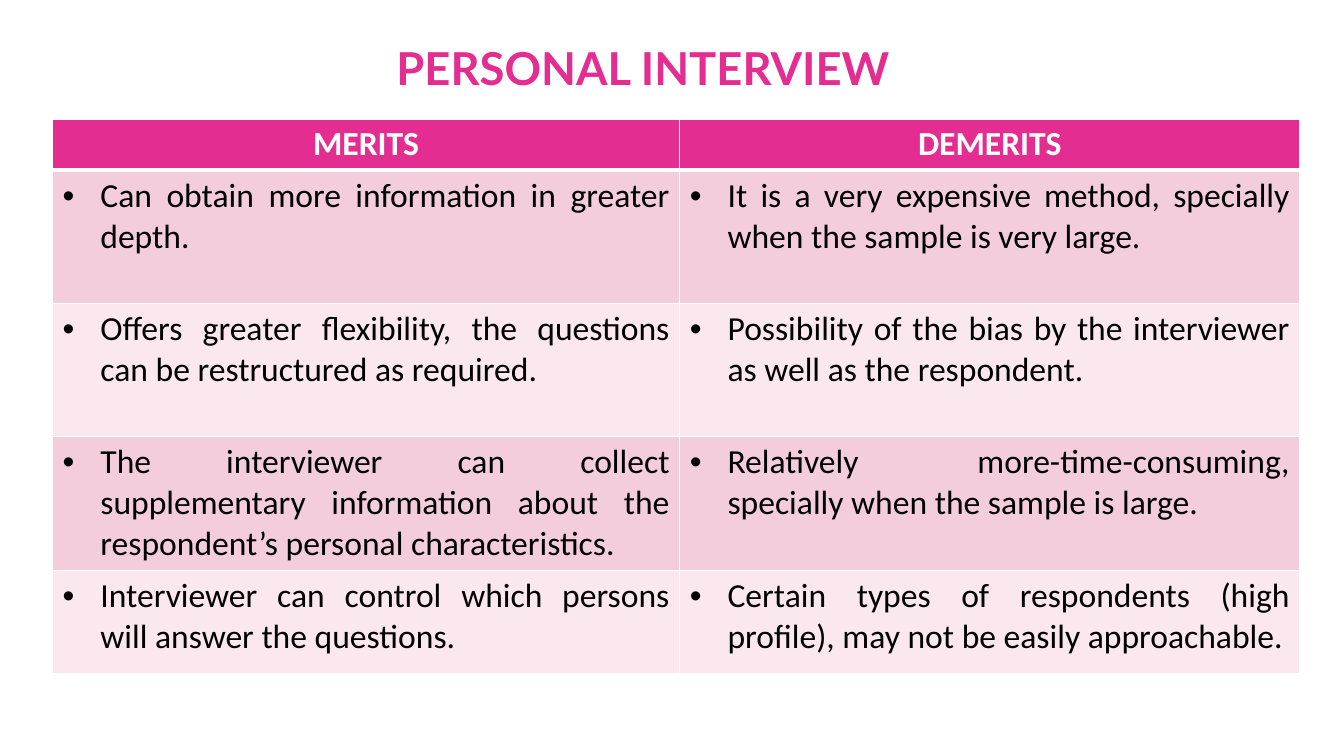
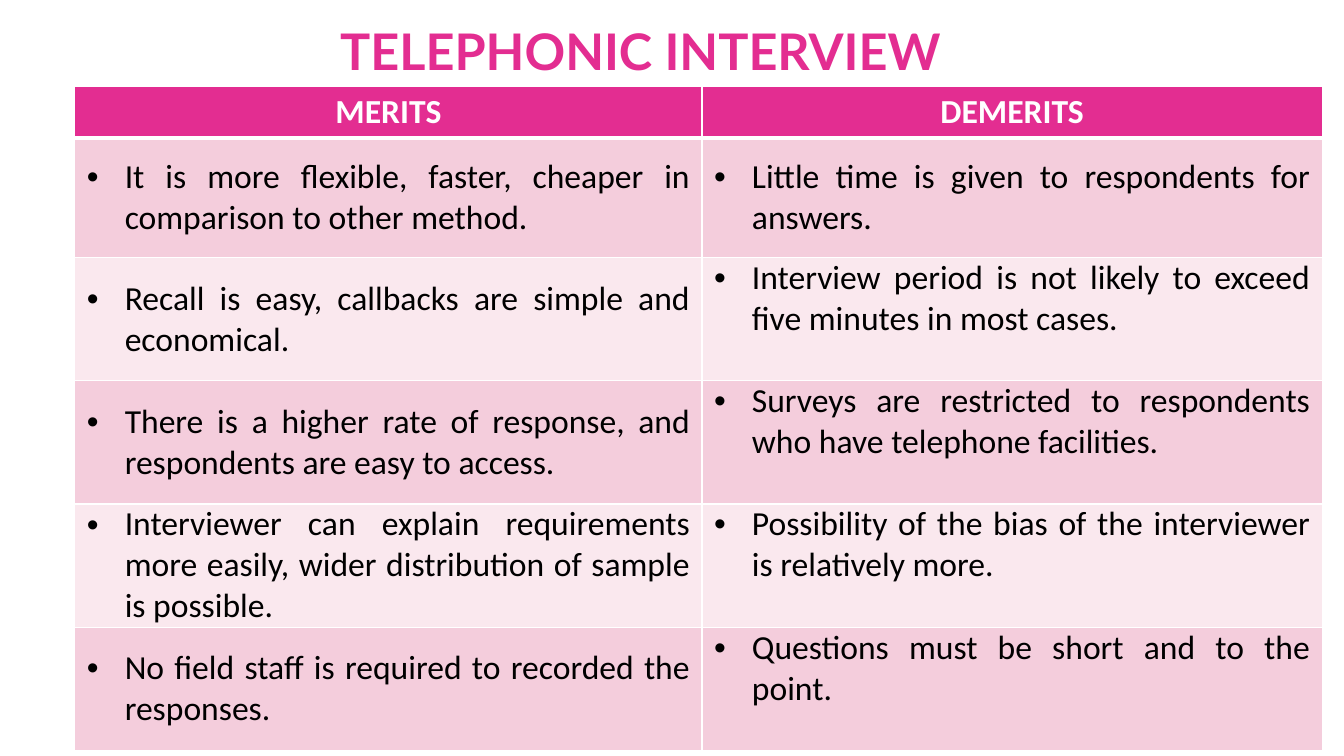
import pptx
import pptx.util
import pptx.dml.color
import pptx.enum.text
import pptx.oxml
import pptx.oxml.ns

Pt = pptx.util.Pt
ALIGN = pptx.enum.text.PP_ALIGN
ANCHOR = pptx.enum.text.MSO_ANCHOR
NS = pptx.oxml.ns.nsdecls("a")

# Shared look
PINK, WHITE, BLACK = "E32D91", "FFFFFF", "000000"
BANDS = ["F4CDDC", "FAE8EE"]
TITLE_FONT, BODY_FONT = "Lato", "Calibri"
BODY_SIZE = 24
COLUMNS = [448, 443]
HEADERS = ("MERITS", "DEMERITS")
HEADER_HEIGHT = 36.5
INDENT = 27


def add_run(p, text, font, size, color, bold):
    r = p.add_run()
    r.text = text
    r.font.name = font
    r.font.size = Pt(size)
    r.font.bold = bold
    r.font.color.rgb = pptx.dml.color.RGBColor.from_string(color)


def add_borders(cell, top, bottom):
    tcPr = cell._tc.get_or_add_tcPr()
    for side, width in (("L", 1), ("R", 1), ("T", top), ("B", bottom)):
        tcPr.append(pptx.oxml.parse_xml(
            f'<a:ln{side} {NS} w="{Pt(width)}"><a:solidFill>'
            f'<a:srgbClr val="{WHITE}"/></a:solidFill></a:ln{side}>'))


# Content: title box, table place, cell margins, anchors by row and column
slides = [
    dict(title="PERSONAL INTERVIEW", title_box=(188.5, 25, 541.5, 60), title_size=32.4,
         table_at=(37.5, 85), heights=[95.25, 95.25, 95.25, 74], margins=(7.2, 3.6),
         middle=set(),
         rows=[
             ("Can obtain more information in greater depth.",
              "It is a very expensive method, specially when the sample is very large."),
             ("Offers greater flexibility, the questions can be restructured as required.",
              "Possibility of the bias by the interviewer as well as the respondent."),
             ("The interviewer can collect supplementary information about the "
              "respondent’s personal characteristics.",
              "Relatively more-time-consuming, specially when the sample is large."),
             ("Interviewer can control which persons will answer the questions.",
              "Certain types of respondents (high profile), may not be easily approachable."),
         ]),
    dict(title="TELEPHONIC INTERVIEW", title_box=(119, 11, 677, 67), title_size=36,
         table_at=(53.5, 62), heights=[85.5, 88, 88, 88, 88], margins=(8.64, 0),
         middle={(1, 0), (1, 1), (2, 0), (3, 0), (4, 0), (5, 0)},
         rows=[
             ("It is more flexible, faster, cheaper in comparison to other method.",
              "Little time is given to respondents for answers."),
             ("Recall is easy, callbacks are simple and economical.",
              "Interview period is not likely to exceed five minutes in most cases."),
             ("There is a higher rate of response, and respondents are easy to access.",
              "Surveys are restricted to respondents who have telephone facilities."),
             ("Interviewer can explain requirements more easily, wider distribution of "
              "sample is possible.",
              "Possibility of the bias of the interviewer is relatively more."),
             ("No field staff is required to recorded the responses.",
              "Questions must be short and to the point."),
         ]),
]

prs = pptx.Presentation()
prs.slide_width, prs.slide_height = Pt(960), Pt(540)

for content in slides:
    s = prs.slides.add_slide(prs.slide_layouts[6])

    # Title
    tf = s.shapes.add_textbox(*map(Pt, content["title_box"])).text_frame
    tf.word_wrap = True
    tf.vertical_anchor = ANCHOR.TOP
    p = tf.paragraphs[0]
    p.alignment = ALIGN.CENTER
    add_run(p, content["title"], TITLE_FONT, content["title_size"], PINK, True)

    # Table grid
    heights = [HEADER_HEIGHT] + content["heights"]
    left, top = content["table_at"]
    table = s.shapes.add_table(len(heights), len(COLUMNS), Pt(left), Pt(top),
                               Pt(sum(COLUMNS)), Pt(sum(heights))).table
    for column, width in zip(table.columns, COLUMNS):
        column.width = Pt(width)
    for row, height in zip(table.rows, heights):
        row.height = Pt(height)

    # Cells
    for i, texts in enumerate([HEADERS] + content["rows"]):
        for j, text in enumerate(texts):
            cell = table.cell(i, j)
            header = i == 0
            add_borders(cell, 3 if i == 1 else 1, 3 if header else 1)
            cell.fill.solid()
            cell.fill.fore_color.rgb = pptx.dml.color.RGBColor.from_string(
                PINK if header else BANDS[(i - 1) % 2])
            side, edge = (7.2, 3.6) if header else content["margins"]
            cell.margin_left = cell.margin_right = Pt(side)
            cell.margin_top = cell.margin_bottom = Pt(edge)
            cell.vertical_anchor = ANCHOR.MIDDLE if (i, j) in content["middle"] else ANCHOR.TOP
            p = cell.text_frame.paragraphs[0]
            p.alignment = ALIGN.CENTER if header else ALIGN.JUSTIFY
            if not header:
                pPr = p._p.get_or_add_pPr()
                pPr.set("marL", str(Pt(INDENT)))
                pPr.set("indent", str(-Pt(INDENT)))
                pPr.append(pptx.oxml.parse_xml(f'<a:buFont {NS} typeface="Arial"/>'))
                pPr.append(pptx.oxml.parse_xml(f'<a:buChar {NS} char="•"/>'))
            add_run(p, text, BODY_FONT, BODY_SIZE, WHITE if header else BLACK, header)

prs.save("out.pptx")
